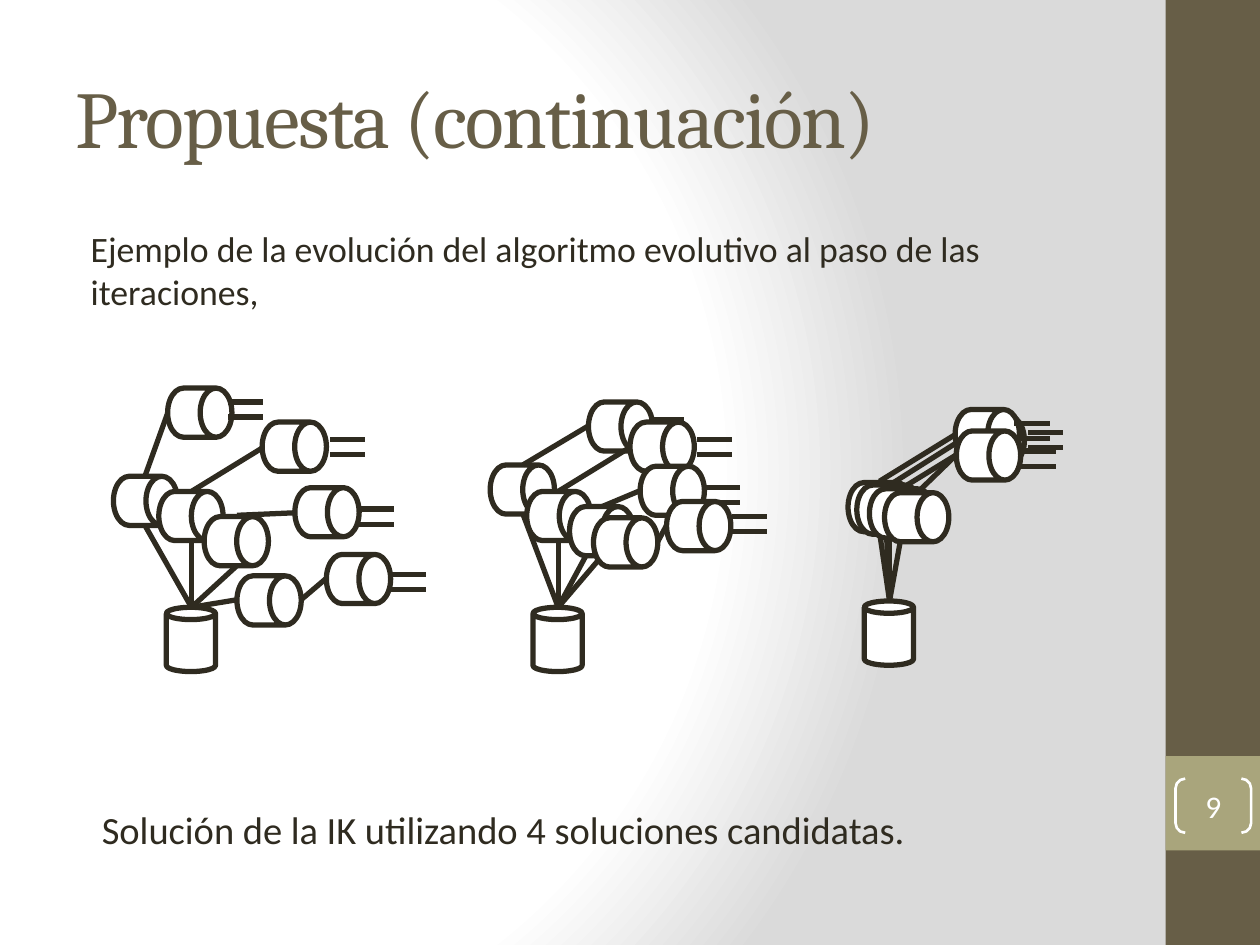
from lxml.etree import SubElement, fromstring
from pptx import Presentation
from pptx.dml.color import RGBColor
from pptx.enum.shapes import MSO_CONNECTOR as Connector, MSO_SHAPE as Preset
from pptx.enum.text import MSO_ANCHOR as Anchor, MSO_AUTO_SIZE as AutoSize, PP_ALIGN as Align
from pptx.oxml.ns import nsdecls, qn
from pptx.util import Pt

PX = 9144  # EMU; 100 px to the inch
INK, OLIVE, SAGE, WHITE, GREY = "2F2B20", "675E47", "A9A57C", "FFFFFF", "DADADA"
CAN_WIDTH, CAN_HEIGHT = 39, 51
GRIP_LENGTH, GRIP_GAP = 28, 12

# Each robot: the tip of its base, then its parts from back to front, placed relative to that tip.
# joint: left, top; arm: end (it starts at the tip); link: from, to; grip: left, top
ROBOTS = [
    ((152, 482), [
        ("joint", -56, -110), ("base",), ("joint", -20, -98), ("arm", 0, -53),
        ("link", 0, -92, 57, -127), ("grip", 110, -133), ("joint", 62, -153),
        ("joint", 42, -31), ("arm", 36, -6), ("link", 87, -6, 107, -23),
        ("grip", 158, -26), ("joint", 113, -48), ("arm", -37, -65),
        ("link", -37, -104, -19, -154), ("joint", -13, -180), ("joint", 16, -78),
        ("arm", 36, -33), ("link", 36, -73, 82, -75), ("grip", 133, -78),
        ("joint", 88, -101), ("grip", 29, -163)]),
    ((443, 482), [
        ("joint", 30, -169), ("grip", 72, -149), ("joint", -48, -119), ("base",),
        ("joint", -19, -98), ("arm", 0, -53), ("link", 0, -92, 57, -127),
        ("grip", 110, -133), ("joint", 63, -153), ("arm", 28, -52),
        ("link", 79, -52, 86, -65), ("grip", 138, -72), ("arm", -28, -74),
        ("link", -28, -113, 24, -144), ("joint", 15, -86), ("arm", 35, -41),
        ("link", 35, -80, 66, -93), ("grip", 116, -95), ("joint", 71, -118),
        ("joint", 34, -77), ("joint", 92, -90)]),
    ((706, 477), [
        ("joint", -27, -100), ("base",), ("joint", -20, -98), ("arm", 0, -53),
        ("link", 0, -92, 57, -128), ("grip", 110, -134), ("joint", 62, -153),
        ("arm", -3, -66), ("link", 22, -86, 53, -116), ("arm", -8, -55),
        ("link", -8, -95, 52, -132), ("joint", -10, -95), ("arm", 9, -50),
        ("link", 9, -89, 53, -116), ("joint", 59, -142), ("joint", 58, -158),
        ("grip", 99, -141), ("joint", 2, -92), ("grip", 104, -119),
        ("joint", 59, -141)]),
]


def color(value):
    return RGBColor.from_string(value)


def emu(*lengths):
    return [length * PX for length in lengths]


def write(shape, text, size, font="Calibri", fill=INK, align=Align.LEFT,
          anchor=Anchor.TOP, indent=None, spacing=None, inset=None):
    frame = shape.text_frame
    frame.word_wrap = True
    frame.auto_size = AutoSize.NONE
    frame.vertical_anchor = anchor
    if inset is not None:
        frame.margin_left = frame.margin_right = inset * PX
        frame.margin_top = frame.margin_bottom = inset * PX
    paragraph = frame.paragraphs[0]
    paragraph.alignment = align
    paragraph.space_before = Pt(0)
    if indent is not None:
        properties = paragraph._p.get_or_add_pPr()
        properties.set("marL", str(indent * PX))
        properties.set("indent", "0")
        SubElement(properties, qn("a:buNone"))
    run = paragraph.add_run()
    run.text = text
    run.font.size = Pt(size)
    run.font.name = font
    run.font.color.rgb = color(fill)
    if spacing is not None:
        run._r.get_or_add_rPr().set("spc", str(spacing * 100))


def add_preset(shapes, preset, box, fill=None, line=None, weight=3):
    shape = shapes.add_shape(preset, *emu(*box))
    shape.shadow.inherit = False
    if fill:
        shape.fill.solid()
        shape.fill.fore_color.rgb = color(fill)
    else:
        shape.fill.background()
    if line:
        shape.line.color.rgb = color(line)
        shape.line.width = Pt(weight)
    else:
        shape.line.fill.background()
    return shape


def add_line(shapes, *ends):
    connector = shapes.add_connector(Connector.STRAIGHT, *emu(*ends))
    connector.line.color.rgb = color(INK)
    connector.line.width = Pt(3)
    SubElement(connector._element.spPr, qn("a:effectLst"))


def add_can(shapes, left, top):
    return add_preset(shapes, Preset.CAN, (left, top, CAN_WIDTH, CAN_HEIGHT), WHITE, INK)


def add_joint(shapes, left, top):
    joint = add_can(shapes, left, top)
    joint.rotation = 90
    joint.adjustments[0] = 0.645


def add_grip(shapes, left, top):
    for y in (top, top + GRIP_GAP):
        add_line(shapes, left, y, left + GRIP_LENGTH, y)


def add_robot(slide, tip, parts):
    shapes = slide.shapes.add_group_shape().shapes
    x, y = tip
    for kind, *offsets in parts:
        points = [offset + tip[i % 2] for i, offset in enumerate(offsets)]
        if kind == "base":
            add_can(shapes, x - CAN_WIDTH // 2 - 1, y)
        elif kind == "joint":
            add_joint(shapes, *points)
        elif kind == "grip":
            add_grip(shapes, *points)
        elif kind == "arm":
            add_line(shapes, x, y, *points)
        else:
            add_line(shapes, *points)


def paint_background(slide):
    slide.background.fill.solid()
    solid = slide._element.find(".//" + qn("a:solidFill"))
    stops = "".join(
        f'<a:gs pos="{percent * 1000}"><a:srgbClr val="{value}"/></a:gs>'
        for percent, value in ((0, WHITE), (75, WHITE), (100, GREY)))
    solid.getparent().replace(solid, fromstring(
        f'<a:gradFill {nsdecls("a")} rotWithShape="1"><a:gsLst>{stops}</a:gsLst>'
        '<a:path path="circle"><a:fillToRect l="20000" t="50000" r="100000" b="50000"/>'
        '</a:path></a:gradFill>'))


def add_side_band(slide, left, top, width, height):
    add_preset(slide.shapes, Preset.RECTANGLE, (left, top, width, height), OLIVE)
    add_preset(slide.shapes, Preset.RECTANGLE, (left, top + 600, width, width), SAGE)
    number = add_preset(slide.shapes, Preset.DOUBLE_BRACKET,
                        (left + 8, top + 618, 60, 43), line=WHITE, weight=1.5)
    number.adjustments[0] = 0.179
    write(number, "9", 18, fill=WHITE, align=Align.CENTER, anchor=Anchor.MIDDLE, inset=0)


def place(shape, *box):
    shape.left, shape.top, shape.width, shape.height = emu(*box)
    return shape


def main():
    presentation = Presentation()
    presentation.slide_width, presentation.slide_height = emu(1000, 750)
    slide = presentation.slides.add_slide(presentation.slide_layouts[1])
    paint_background(slide)
    add_side_band(slide, 925, 0, 75, 750)
    title, body = slide.placeholders
    write(place(title, 50, 30, 833, 125), "Propuesta (continuación)", 46, font="Cambria",
          fill=OLIVE, anchor=Anchor.MIDDLE, spacing=-1)
    write(place(body, 50, 175, 833, 72),
          "Ejemplo de la evolución del algoritmo evolutivo al paso de las iteraciones,",
          20.4, indent=12)
    for tip, parts in ROBOTS:
        add_robot(slide, tip, parts)
    caption = slide.shapes.add_textbox(*emu(59, 635, 833, 72))
    write(caption, "Solución de la IK utilizando 4 soluciones candidatas.", 22, indent=12)
    presentation.save("out.pptx")


if __name__ == "__main__":
    main()
